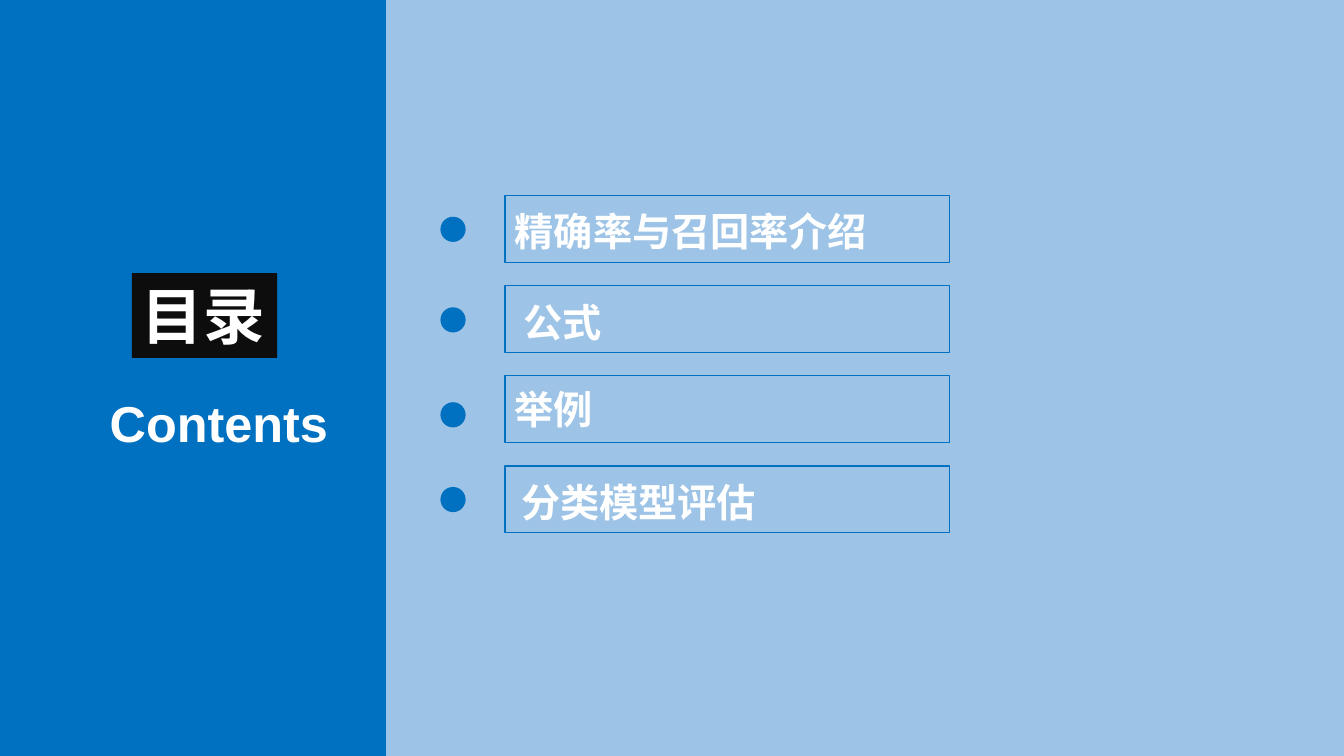
from dataclasses import dataclass

from lxml import etree
from pptx import Presentation
from pptx import util as u
from pptx.dml.color import RGBColor
from pptx.enum import shapes, text
from pptx.oxml.ns import qn


@dataclass(frozen=True)
class Theme:
    blue: str = "0070C0"
    pale: str = "9DC3E6"
    black: str = "0D0D0D"
    white: str = "FFFFFF"
    latin: str = "Arial"
    body: str = "Calibri"
    chinese: str = "Noto Sans CJK SC"
    title: int = 44
    subtitle: int = 36
    entry: int = 28
    small: int = 20


class ContentsSlide:
    def __init__(self, slide, theme):
        self.slide = slide
        self.theme = theme

    def block(self, left, top, width, height, fill, kind=shapes.MSO_SHAPE.RECTANGLE):
        shape = self.slide.shapes.add_shape(
            kind, u.Pt(left), u.Pt(top), u.Pt(width), u.Pt(height)
        )
        shape.shadow.inherit = False
        shape.fill.solid()
        shape.fill.fore_color.rgb = RGBColor.from_string(fill)
        shape.line.fill.background()
        return shape

    def add_text(self, shape, runs, font, wrap=False, anchor=text.MSO_ANCHOR.TOP):
        frame = shape.text_frame
        frame.word_wrap = wrap
        frame.vertical_anchor = anchor
        paragraph = frame.paragraphs[0]
        paragraph.alignment = text.PP_ALIGN.LEFT
        for words, size in runs:
            run = paragraph.add_run()
            run.text = words
            run.font.size = u.Pt(size)
            run.font.name = font
            run.font.bold = True
            run.font.color.rgb = RGBColor.from_string(self.theme.white)
            if font == self.theme.chinese:
                properties = run.font._element
                etree.SubElement(properties, qn("a:ea"), typeface=font)
        return paragraph

    def label(self, left, top, width, height, words):
        shape = self.slide.shapes.add_textbox(
            u.Pt(left), u.Pt(top), u.Pt(width), u.Pt(height)
        )
        self.add_text(shape, [(words, self.theme.subtitle)], self.theme.latin)

    def title(self, left, top, width, height, words):
        shape = self.block(left, top, width, height, self.theme.black)
        self.add_text(shape, [(words, self.theme.title)], self.theme.chinese)

    def dot(self, left, top, size):
        self.block(left, top, size, size, self.theme.blue, shapes.MSO_SHAPE.OVAL)

    def entry(self, left, top, width, height, runs, hanging):
        shape = self.block(left, top, width, height, self.theme.pale)
        fill = shape._element.spPr.find(qn("a:solidFill"))
        etree.SubElement(fill[0], qn("a:alpha"), val="50000")
        shape.line.color.rgb = RGBColor.from_string(self.theme.blue)
        shape.line.width = u.Pt(1)
        paragraph = self.add_text(
            shape, runs, self.theme.body, True, text.MSO_ANCHOR.MIDDLE
        )
        if hanging:
            paragraph.line_spacing = 1.1
            paragraph.space_before = u.Pt(5.6)
            properties = paragraph._p.get_or_add_pPr()
            properties.set("marL", str(u.Pt(27)))
            properties.set("indent", str(-u.Pt(27)))


def main():
    presentation = Presentation()
    presentation.slide_width = u.Pt(960)
    presentation.slide_height = u.Pt(540)
    theme = Theme()
    slide = presentation.slides.add_slide(presentation.slide_layouts[6])
    contents = ContentsSlide(slide, theme)

    contents.block(0, 0, 282, 540, theme.blue)
    contents.block(275.8, 0, 684.2, 540, theme.pale)
    contents.label(71.3, 276.5, 172, 51, "Contents")
    contents.title(94.3, 195.2, 103.7, 60.5, "目录")

    entries = [
        ([("精确率与召回率介绍", theme.entry)], 154.8, True),
        ([(" 公式", theme.entry)], 219.5, True),
        ([("举例", theme.entry)], 287.3, False),
        ([(" ", theme.small), ("分类模型评估", theme.entry)], 347.8, True),
    ]
    for index, (runs, dot_top, hanging) in enumerate(entries):
        contents.dot(314.6, dot_top, 18)
        contents.entry(360.6, 139.6 + 64.4 * index, 317.5, 47.8, runs, hanging)

    presentation.save("out.pptx")


if __name__ == "__main__":
    main()
